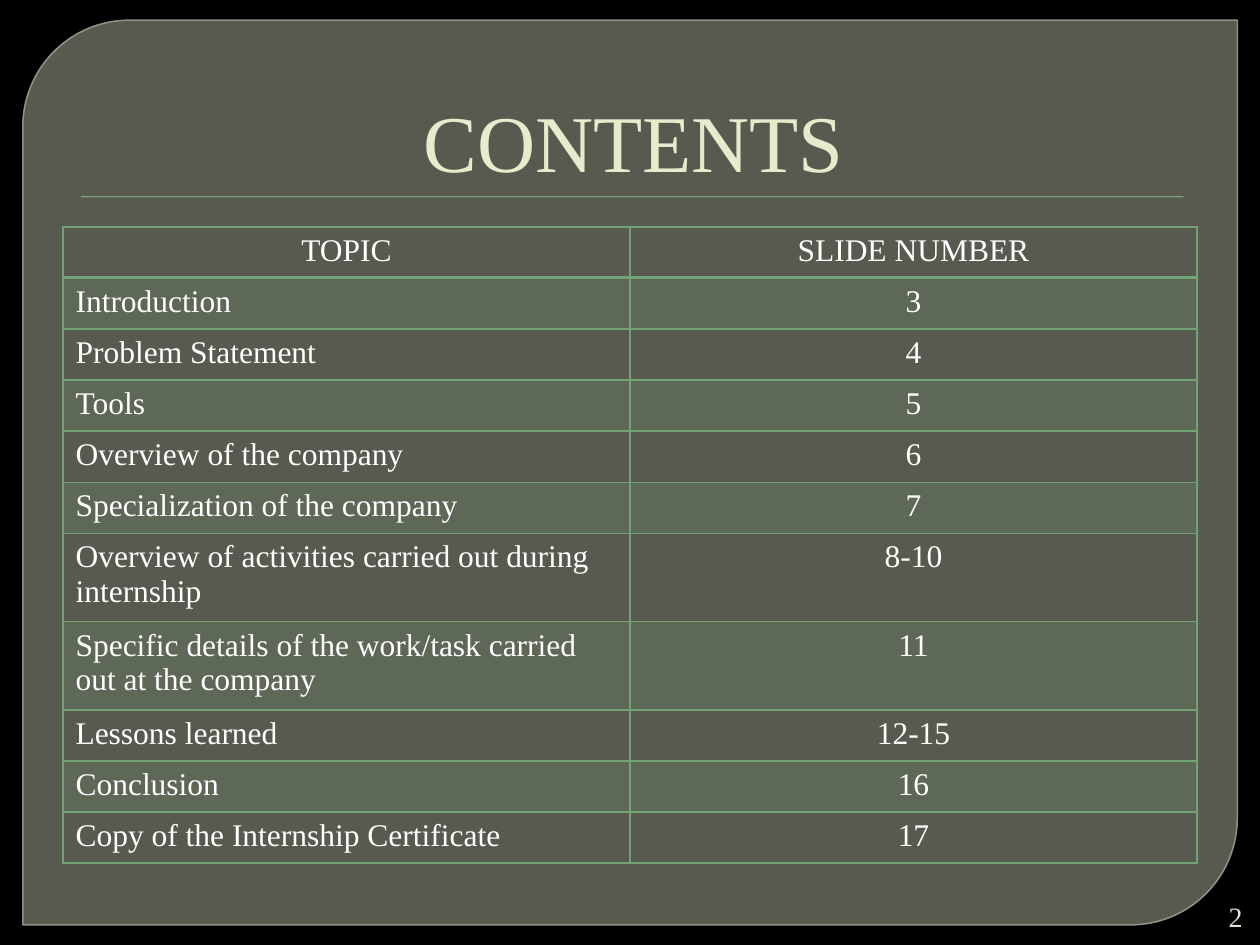
from dataclasses import dataclass

import pptx
import pptx.dml.color
import pptx.enum.shapes
import pptx.enum.text
import pptx.oxml
import pptx.oxml.ns
import pptx.util

Pt = pptx.util.Pt
RGBColor = pptx.dml.color.RGBColor
Align = pptx.enum.text.PP_ALIGN
Anchor = pptx.enum.text.MSO_ANCHOR
Shape = pptx.enum.shapes.MSO_SHAPE
qn = pptx.oxml.ns.qn

FONT = "Times New Roman"
BLACK = RGBColor(0x00, 0x00, 0x00)
WHITE = RGBColor(0xFF, 0xFF, 0xFF)
PANEL = RGBColor(0x88, 0x8B, 0x7B)
PANEL_EDGE = RGBColor(0x9D, 0xA0, 0x90)
GREEN = RGBColor(0x72, 0xA3, 0x76)
CREAM = RGBColor(0xE7, 0xEA, 0xCB)
PALE = RGBColor(0xE0, 0xE0, 0xD4)

ROW_HEIGHT = 29.2
TALL_ROW_HEIGHT = 47.1


@dataclass(frozen=True)
class Area:
    left: float
    top: float
    width: float
    height: float

    def lengths(self) -> tuple:
        return Pt(self.left), Pt(self.top), Pt(self.width), Pt(self.height)


@dataclass(frozen=True)
class Entry:
    topic: str
    number: str
    height: float = ROW_HEIGHT


HEADER = Entry("TOPIC", "SLIDE NUMBER")
ENTRIES = [
    Entry("Introduction", "3"),
    Entry("Problem Statement", "4"),
    Entry("Tools", "5"),
    Entry("Overview of the company", "6"),
    Entry("Specialization of the company", "7"),
    Entry("Overview of activities carried out during internship", "8-10", TALL_ROW_HEIGHT),
    Entry("Specific details of the work/task carried out at the company", "11", TALL_ROW_HEIGHT),
    Entry("Lessons learned", "12-15"),
    Entry("Conclusion", "16"),
    Entry("Copy of the Internship Certificate", "17"),
]


def write(frame, text: str, *, size: float, color: RGBColor, align=Align.LEFT) -> None:
    """Put one formatted paragraph into a text frame."""
    frame.word_wrap = True
    para = frame.paragraphs[0]
    para.alignment = align
    span = para.add_run()
    span.text = text
    span.font.name = FONT
    span.font.size = Pt(size)
    span.font.color.rgb = color


def add_text(page, area: Area, text: str, *, anchor, bottom: float = 3.6, **style):
    box = page.shapes.add_textbox(*area.lengths())
    box.text_frame.vertical_anchor = anchor
    box.text_frame.margin_bottom = Pt(bottom)
    write(box.text_frame, text, **style)
    return box


def set_alpha(holder, percent: int) -> None:
    """Make the first colour inside an XML element translucent."""
    color = next(holder.iter(qn("a:srgbClr")))
    color.makeelement(qn("a:alpha"))
    alpha = pptx.oxml.parse_xml(
        f'<a:alpha {pptx.oxml.ns.nsdecls("a")} val="{percent * 1000}"/>')
    color.append(alpha)


def add_panel(page) -> None:
    panel = page.shapes.add_shape(
        Shape.ROUND_2_DIAG_RECTANGLE, *Area(13, 11.5, 694, 517).lengths())
    panel.adjustments[0] = 0.118
    panel.adjustments[1] = 0
    panel.shadow.inherit = False
    panel.fill.solid()
    panel.fill.fore_color.rgb = PANEL
    panel.line.color.rgb = PANEL_EDGE
    panel.line.width = Pt(0.87)
    properties = panel.element.spPr
    set_alpha(properties.find(qn("a:solidFill")), 65)
    set_alpha(properties.find(qn("a:ln")), 88)


def add_rule(page) -> None:
    rule = page.shapes.add_shape(Shape.RECTANGLE, *Area(46.2, 112.1, 630, 0.72).lengths())
    rule.fill.solid()
    rule.fill.fore_color.rgb = GREEN
    rule.line.fill.background()
    rule.shadow.inherit = False
    rule.element.spPr.find(qn("a:effectLst")).append(pptx.oxml.parse_xml(
        f'<a:outerShdw {pptx.oxml.ns.nsdecls("a")} blurRad="{Pt(1)}" dist="{Pt(1)}" '
        f'dir="5400000"><a:srgbClr val="{BLACK}"><a:alpha val="75000"/></a:srgbClr>'
        '</a:outerShdw>'))


def set_borders(cell, **widths: float) -> None:
    """Draw the cell edges, given in the order L, R, T, B."""
    properties = cell._tc.get_or_add_tcPr()
    for side, width in widths.items():
        properties.append(pptx.oxml.parse_xml(
            f'<a:ln{side} {pptx.oxml.ns.nsdecls("a")} w="{Pt(width)}">'
            f'<a:solidFill><a:srgbClr val="{GREEN}"/></a:solidFill></a:ln{side}>'))


def add_contents_table(page, area: Area) -> None:
    entries = [HEADER, *ENTRIES]
    table = page.shapes.add_table(len(entries), 2, *area.lengths()).table
    table.first_row = False
    table.horz_banding = False
    for column in table.columns:
        column.width = Pt(area.width / 2)
    for index, entry in enumerate(entries):
        table.rows[index].height = Pt(entry.height)
        for column, text in enumerate((entry.topic, entry.number)):
            cell = table.cell(index, column)
            centred = index == 0 or column == 1
            write(cell.text_frame, text, size=18, color=WHITE,
                  align=Align.CENTER if centred else Align.LEFT)
            # The line below the header is twice as thick
            set_borders(cell, L=1, R=1, T=2 if index == 1 else 1, B=2 if index == 0 else 1)
            if index % 2:
                cell.fill.solid()
                cell.fill.fore_color.rgb = GREEN
                set_alpha(cell._tc.tcPr.find(qn("a:solidFill")), 20)
            else:
                cell.fill.background()


def main() -> None:
    deck = pptx.Presentation()
    deck.slide_width, deck.slide_height = Pt(720), Pt(540)
    page = deck.slides.add_slide(deck.slide_layouts[6])

    # Backdrop
    page.background.fill.solid()
    page.background.fill.fore_color.rgb = BLACK
    add_panel(page)
    add_rule(page)

    # Title
    title = add_text(page, Area(36, 20, 648, 90), "CONTENTS", anchor=Anchor.BOTTOM,
                     bottom=2, size=46, color=CREAM, align=Align.CENTER)
    title.text_frame.paragraphs[0]._p.get_or_add_pPr().set("marL", str(Pt(4.3)))

    # Contents and slide number
    height = sum(entry.height for entry in [HEADER, *ENTRIES])
    add_contents_table(page, Area(36, 129.6, 648, height))
    add_text(page, Area(680.4, 512.6, 36.7, 21.6), "2", anchor=Anchor.MIDDLE,
             size=16, color=PALE, align=Align.RIGHT)

    deck.save("out.pptx")


if __name__ == "__main__":
    main()
